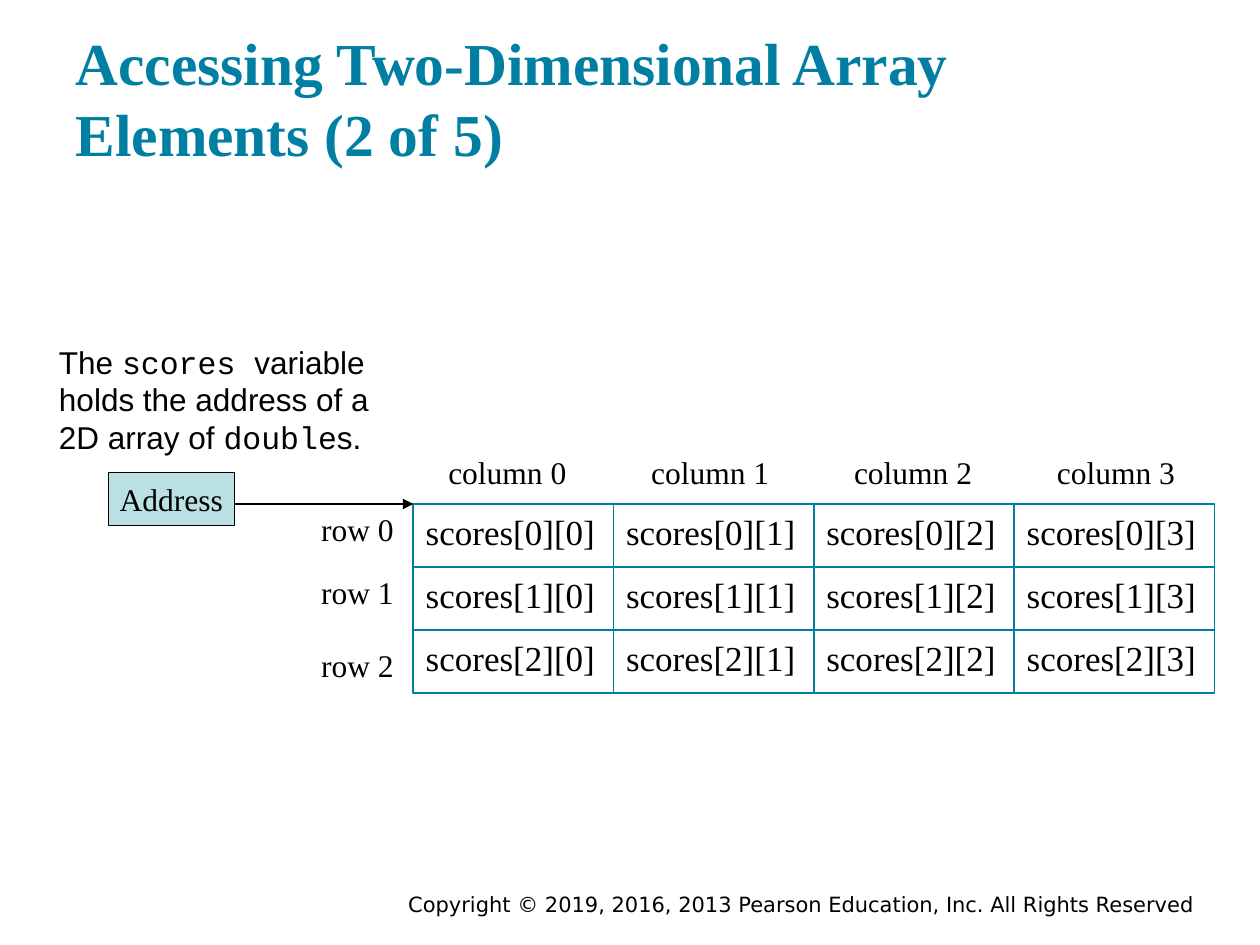
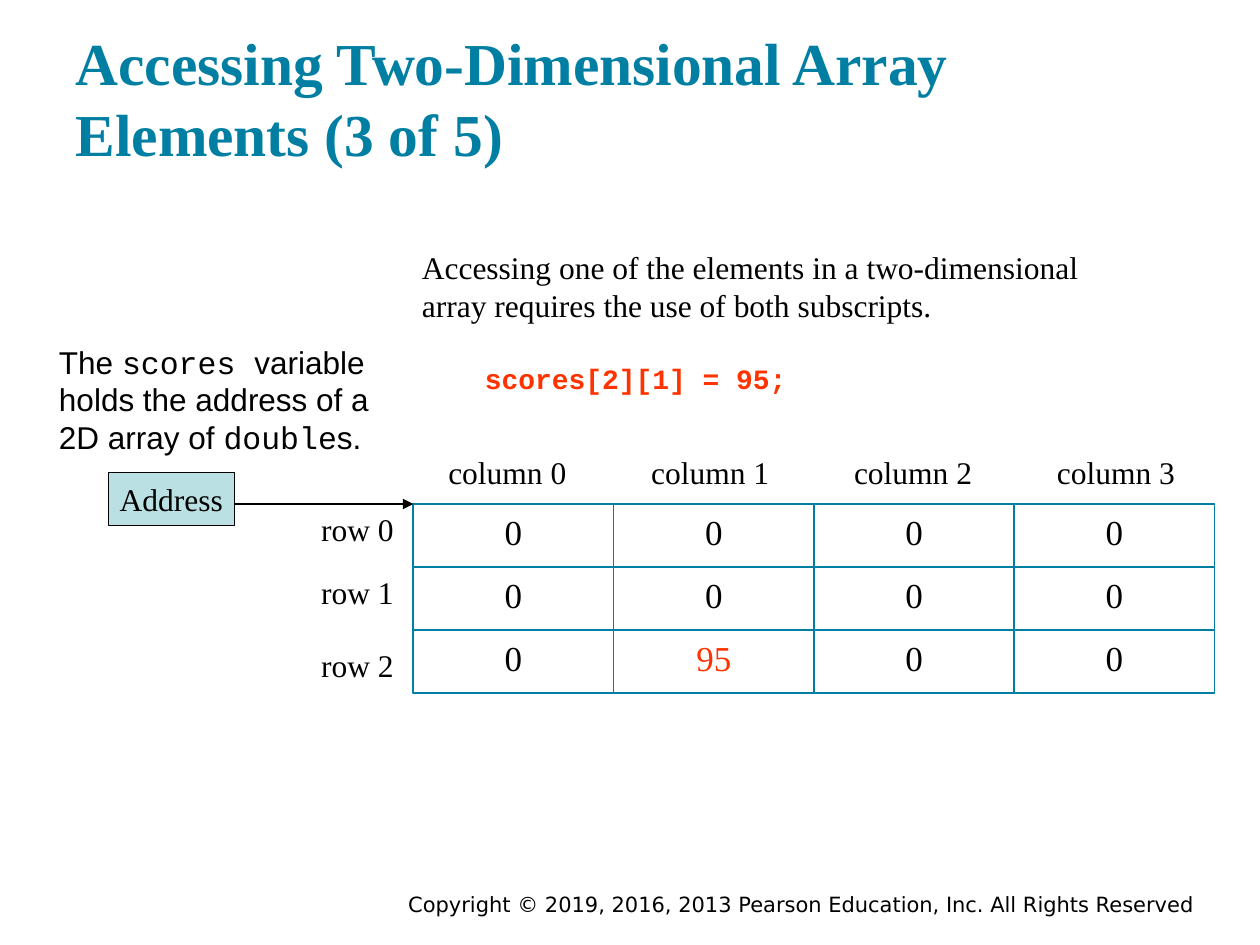
"""Build two slides that show how elements of a two-dimensional array are accessed."""
from dataclasses import dataclass

from lxml import etree
from pptx import Presentation
from pptx import slide as sl
from pptx import util as u
from pptx.dml import color as dc
from pptx.enum import shapes, text
from pptx.oxml import ns
from pptx.shapes import autoshape as au
from pptx.text import text as tx

PX = 9144
TEAL, BLACK, RED, PALE = "007FA3", "000000", "FF3300", "BBE0E3"
SERIF, SANS, MONO, FOOTER_FONT = "Times New Roman", "Arial", "Courier New", "DejaVu Sans"
COPYRIGHT = "Copyright © 2019, 2016, 2013 Pearson Education, Inc. All Rights Reserved"
LEFT, CENTER, RIGHT = text.PP_ALIGN.LEFT, text.PP_ALIGN.CENTER, text.PP_ALIGN.RIGHT

GRID_LEFT, GRID_TOP, CELL_WIDTH, CELL_HEIGHT = 328, 400, 159, 50
COLUMN_LABEL_LEFT, COLUMN_LABEL_STEP = 346, 161
ROW_LABEL_TOPS = (400, 450, 508)


@dataclass(frozen=True)
class Box:
    left: int
    top: int
    width: int
    height: int

    def emu(self) -> tuple[int, ...]:
        return tuple(side * PX for side in (self.left, self.top, self.width, self.height))


@dataclass(frozen=True)
class Style:
    size: int = 18
    font: str = SERIF
    color: str = BLACK
    bold: bool = False
    align: text.PP_ALIGN = LEFT


@dataclass(frozen=True)
class ArraySlide:
    title: str
    cells: list[list[str]]
    align: text.PP_ALIGN
    marked: tuple[int, int] | None = None
    explanation: str = ""
    statement: str = ""


LABEL = Style()
TITLE = Style(34, color=TEAL, bold=True)
FOOTER = Style(12, FOOTER_FONT, align=RIGHT)
STATEMENT = Style(16, MONO, RED, bold=True)
VARIABLE_NOTE = (
    (("The ", SANS), ("scores ", MONO), ("variable", SANS)),
    (("holds the address of a", SANS),),
    (("2D array of ", SANS), ("double", MONO), ("s.", SANS)),
)
SLIDES = (
    ArraySlide(
        "Accessing Two-Dimensional Array Elements (2 of 5)",
        [[f"scores[{row}][{column}]" for column in range(4)] for row in range(3)],
        LEFT,
    ),
    ArraySlide(
        "Accessing Two-Dimensional Array Elements (3 of 5)",
        [["0"] * 4, ["0"] * 4, ["0", "95", "0", "0"]],
        CENTER,
        (2, 1),
        "Accessing one of the elements in a two-dimensional array "
        "requires the use of both subscripts.",
        "scores[2][1] = 95;",
    ),
)


def rgb(value: str) -> dc.RGBColor:
    return dc.RGBColor.from_string(value)


def format_run(run: tx._Run, style: Style) -> None:
    run.font.size = u.Pt(style.size)
    run.font.name = style.font
    run.font.bold = style.bold
    run.font.color.rgb = rgb(style.color)


def write(paragraph: tx._Paragraph, content: str, style: Style) -> None:
    paragraph.text = content
    paragraph.alignment = style.align
    for run in paragraph.runs:
        format_run(run, style)


def add_frame(slide: sl.Slide, box: Box, wrap: bool = False) -> tx.TextFrame:
    frame = slide.shapes.add_textbox(*box.emu()).text_frame
    frame.word_wrap = wrap
    if not wrap:
        frame.auto_size = text.MSO_AUTO_SIZE.SHAPE_TO_FIT_TEXT
    return frame


def add_text(slide: sl.Slide, box: Box, content: str, style: Style,
             wrap: bool = False) -> tx.TextFrame:
    frame = add_frame(slide, box, wrap)
    write(frame.paragraphs[0], content, style)
    return frame


def add_rectangle(slide: sl.Slide, box: Box, content: str, style: Style,
                  line: str, weight: float, fill: str = "") -> au.Shape:
    shape = slide.shapes.add_shape(shapes.MSO_SHAPE.RECTANGLE, *box.emu())
    shape.shadow.inherit = False
    if fill:
        shape.fill.solid()
        shape.fill.fore_color.rgb = rgb(fill)
    else:
        shape.fill.background()
    shape.line.color.rgb = rgb(line)
    shape.line.width = u.Pt(weight)
    write(shape.text_frame.paragraphs[0], content, style)
    return shape


def add_title(slide: sl.Slide, content: str) -> None:
    title = slide.shapes.title
    title.left, title.top, title.width, title.height = Box(50, 24, 900, 120).emu()
    frame = title.text_frame
    frame.auto_size = text.MSO_AUTO_SIZE.NONE
    frame.vertical_anchor = text.MSO_ANCHOR.BOTTOM
    frame.margin_top = frame.margin_bottom = 10 * PX
    frame.margin_left = frame.margin_right = 10 * PX
    write(frame.paragraphs[0], content, TITLE)


def add_variable_note(slide: sl.Slide) -> None:
    frame = add_frame(slide, Box(37, 267, 266, 100))
    for number, parts in enumerate(VARIABLE_NOTE):
        paragraph = frame.add_paragraph() if number else frame.paragraphs[0]
        for content, font in parts:
            run = paragraph.add_run()
            run.text = content
            format_run(run, Style(font=font))


def add_address(slide: sl.Slide) -> None:
    box = Box(86, 375, 100, 42)
    address = add_rectangle(slide, box, "Address", Style(align=CENTER), BLACK, 0.75, PALE)
    address.text_frame.word_wrap = False
    address.text_frame.vertical_anchor = text.MSO_ANCHOR.MIDDLE
    arrow = slide.shapes.add_connector(
        shapes.MSO_CONNECTOR.STRAIGHT,
        (box.left + box.width) * PX, GRID_TOP * PX, GRID_LEFT * PX, GRID_TOP * PX,
    )
    arrow.line.color.rgb = rgb(BLACK)
    arrow.line.width = u.Pt(0.75)
    line = arrow.line._get_or_add_ln()
    etree.SubElement(line, ns.qn("a:tailEnd"), type="triangle")
    etree.SubElement(arrow._element.spPr, ns.qn("a:effectLst"))


def add_grid(slide: sl.Slide, content: ArraySlide) -> None:
    for column in range(len(content.cells[0])):
        left = COLUMN_LABEL_LEFT + column * COLUMN_LABEL_STEP
        add_text(slide, Box(left, 355, 114, 40), f"column {column}", LABEL)
    for row, values in enumerate(content.cells):
        add_text(slide, Box(245, ROW_LABEL_TOPS[row], 78, 40), f"row {row}", LABEL)
        for column, value in enumerate(values):
            box = Box(GRID_LEFT + column * CELL_WIDTH, GRID_TOP + row * CELL_HEIGHT,
                      CELL_WIDTH, CELL_HEIGHT)
            color = RED if (row, column) == content.marked else BLACK
            cell = add_rectangle(slide, box, value, Style(20, color=color, align=content.align),
                                 TEAL, 1)
            cell.text_frame.vertical_anchor = text.MSO_ANCHOR.TOP


def add_explanation(slide: sl.Slide, content: ArraySlide) -> None:
    frame = add_text(slide, Box(325, 192, 558, 157), content.explanation, LABEL, wrap=True)
    paragraph = frame.add_paragraph()
    paragraph._p.get_or_add_pPr().set("marL", str(50 * PX))
    paragraph.level = 1
    paragraph.space_before = u.Pt(21.5)
    write(paragraph, content.statement, STATEMENT)


def main() -> None:
    presentation = Presentation()
    presentation.slide_width, presentation.slide_height = 1000 * PX, 750 * PX
    for content in SLIDES:
        slide = presentation.slides.add_slide(presentation.slide_layouts[5])
        add_text(slide, Box(175, 703, 783, 22), COPYRIGHT, FOOTER, wrap=True)
        add_title(slide, content.title)
        if content.explanation:
            add_explanation(slide, content)
        add_grid(slide, content)
        add_variable_note(slide)
        add_address(slide)
    presentation.save("out.pptx")


if __name__ == "__main__":
    main()
